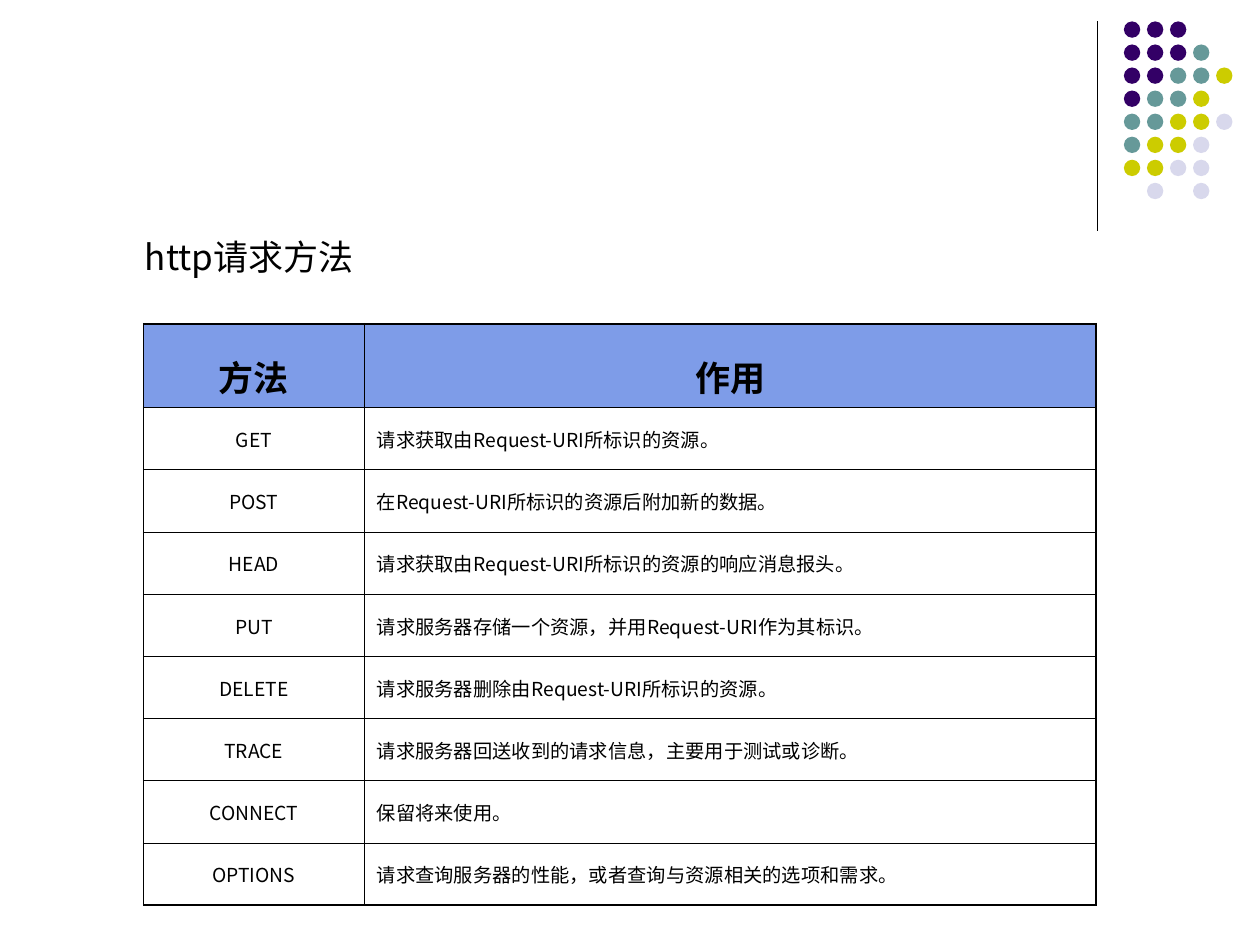
"""Build a slide with a table of HTTP request methods beside a dotted corner ornament."""
from lxml.etree import SubElement
from pptx import Presentation
from pptx.dml.color import RGBColor
from pptx.enum.shapes import MSO_CONNECTOR, MSO_SHAPE
from pptx.enum.text import MSO_ANCHOR, MSO_AUTO_SIZE, PP_ALIGN
from pptx.oxml.ns import qn
from pptx.util import Inches, Pt

THEME = {
    "font": "Noto Sans CJK SC",
    "ink": RGBColor.from_string("000000"),
    "header": RGBColor.from_string("7E9CE8"),
    "dots": {
        "P": RGBColor.from_string("330066"),
        "T": RGBColor.from_string("669999"),
        "Y": RGBColor.from_string("CCCC00"),
        "L": RGBColor.from_string("D8D8EC"),
    },
    "large": Pt(20),
    "small": Pt(11),
    "thin": Pt(0.45),
    "thick": Pt(1.08),
    "rule": Pt(0.75),
}
DOTS = ["PPP", "PPPT", "PPTTY", "PTTY", "TTYYL", "TYYL", "YYLL", " L L"]
METHODS = [
    ("方法", "作用"),
    ("GET", "请求获取由Request-URI所标识的资源。"),
    ("POST", "在Request-URI所标识的资源后附加新的数据。"),
    ("HEAD", "请求获取由Request-URI所标识的资源的响应消息报头。"),
    ("PUT", "请求服务器存储一个资源，并用Request-URI作为其标识。"),
    ("DELETE", "请求服务器删除由Request-URI所标识的资源。"),
    ("TRACE", "请求服务器回送收到的请求信息，主要用于测试或诊断。"),
    ("CONNECT", "保留将来使用。"),
    ("OPTIONS", "请求查询服务器的性能，或者查询与资源相关的选项和需求。"),
]

prs = Presentation()
prs.slide_width, prs.slide_height = Inches(10), Inches(7.5)
UNIT = prs.slide_width / 100


def grid(*cells):
    """Turn grid cells, a hundred to the slide's width, into lengths."""
    return [round(n * UNIT) for n in cells]


def write(tf, text, size, bold, **fmt):
    """Write one formatted paragraph into a text frame."""
    tf.word_wrap = True
    p = tf.paragraphs[0]
    for name, value in fmt.items():
        setattr(p, name, value)
    r = p.add_run()
    r.text = text
    r.font.color.rgb = THEME["ink"]
    for name, value in {"size": size, "bold": bold, "name": THEME["font"]}.items():
        setattr(r.font, name, value)
    SubElement(r.font._element, qn("a:ea"), typeface=THEME["font"])
    return p


s = prs.slides.add_slide(prs.slide_layouts[2])
title, body = s.placeholders
title._element.getparent().remove(title._element)

rule = s.shapes.add_connector(MSO_CONNECTOR.STRAIGHT, *grid(87.1, 1.7, 87.1, 18.3))
rule.line.color.rgb = THEME["ink"]
rule.line.width = THEME["rule"]
SubElement(rule._element.spPr, qn("a:effectLst"))

dots = s.shapes.add_group_shape()
for row, line in enumerate(DOTS):
    for col, key in enumerate(line):
        if key in THEME["dots"]:
            at = grid(89.2 + 1.83 * col, 1.7 + 1.83 * row, 1.3, 1.3)
            sp = dots.shapes.add_shape(MSO_SHAPE.OVAL, *at)
            sp.shadow.inherit = False
            sp.fill.solid()
            sp.fill.fore_color.rgb = THEME["dots"][key]
            sp.line.fill.background()

for name, value in zip(("left", "top", "width", "height"), grid(6.7, 18.6, 60.6, 5.3)):
    setattr(body, name, value)
tf = body.text_frame
tf.auto_size = MSO_AUTO_SIZE.NONE
tf.vertical_anchor = MSO_ANCHOR.TOP
p = write(tf, "http请求方法", THEME["large"], False, alignment=PP_ALIGN.JUSTIFY,
          line_spacing=0.9, space_before=Pt(5))
pPr = p._p.get_or_add_pPr()
for name, value in {"marL": grid(3.8)[0], "indent": 0}.items():
    pPr.set(name, str(value))

last = len(METHODS) - 1
frame = s.shapes.add_table(len(METHODS), 2, *grid(11.4, 25.7, 75.6, 45.2))
table = frame.table
table.first_row = table.horz_banding = False
for column, width in zip(table.columns, grid(17.5, 58.1)):
    column.width = width
for row, height in zip(table.rows, grid(5.7, *[39.5 / last] * last)):
    row.height = height

for i, texts in enumerate(METHODS):
    head = i == 0
    for j, text in enumerate(texts):
        cell = table.cell(i, j)
        write(cell.text_frame, text, THEME["large" if head else "small"], head,
              alignment=PP_ALIGN.CENTER if head or j == 0 else PP_ALIGN.JUSTIFY,
              line_spacing=1.4, space_before=Pt(5 if head else 2.8))
        tcPr = cell._tc.get_or_add_tcPr()
        outer = {"lnL": j == 0, "lnR": j == 1, "lnT": head, "lnB": i == last}
        for side, edge in outer.items():
            width = THEME["thick" if edge else "thin"]
            ln = SubElement(tcPr, qn(f"a:{side}"), w=str(int(width)))
            SubElement(SubElement(ln, qn("a:solidFill")), qn("a:srgbClr"), val=str(THEME["ink"]))
        if head:
            cell.fill.solid()
            cell.fill.fore_color.rgb = THEME["header"]
        else:
            cell.fill.background()

prs.save("out.pptx")
